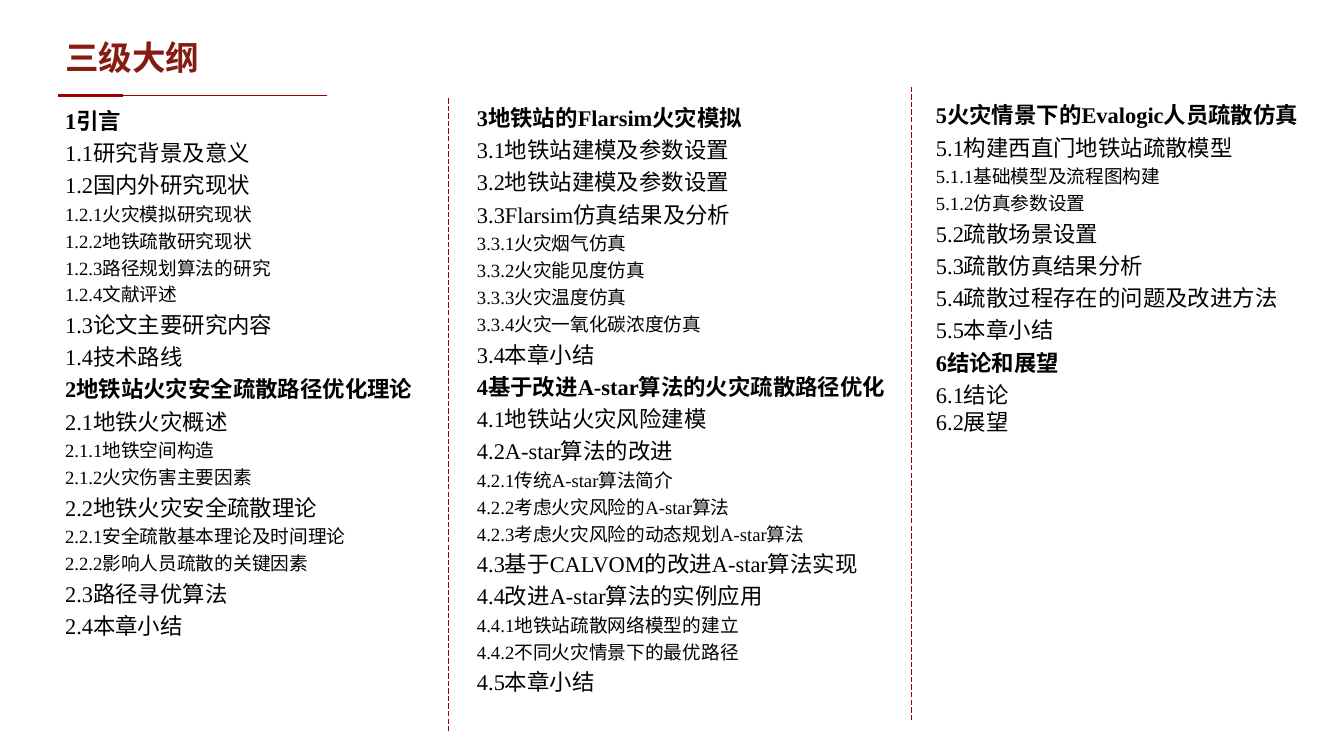
from itertools import groupby
from lxml.etree import SubElement
from pptx import Presentation
from pptx.dml.color import RGBColor
from pptx.enum.dml import MSO_LINE
from pptx.enum.shapes import MSO_CONNECTOR
from pptx.enum.text import MSO_ANCHOR, MSO_AUTO_SIZE, PP_ALIGN
from pptx.oxml.ns import qn
from pptx.util import Pt

TITLE = "三级大纲"
LATIN, HAN = "Times New Roman", "Noto Sans CJK SC"
RED, TITLE_RED, BLACK = "9A0001", "861B11", "000000"

COLUMNS = [
    ((62.64, 105.12, 400.32, 623.52), [
        "1引言",
        "1.1研究背景及意义",
        "1.2国内外研究现状",
        "1.2.1火灾模拟研究现状",
        "1.2.2地铁疏散研究现状",
        "1.2.3路径规划算法的研究",
        "1.2.4文献评述",
        "1.3论文主要研究内容",
        "1.4技术路线",
        "2地铁站火灾安全疏散路径优化理论",
        "2.1地铁火灾概述",
        "2.1.1地铁空间构造",
        "2.1.2火灾伤害主要因素",
        "2.2地铁火灾安全疏散理论",
        "2.2.1安全疏散基本理论及时间理论",
        "2.2.2影响人员疏散的关键因素",
        "2.3路径寻优算法",
        "2.4本章小结",
    ]),
    ((504, 102.24, 458.64, 653.04), [
        "3地铁站的Flarsim火灾模拟",
        "3.1地铁站建模及参数设置",
        "3.2地铁站建模及参数设置",
        "3.3Flarsim仿真结果及分析",
        "3.3.1火灾烟气仿真",
        "3.3.2火灾能见度仿真",
        "3.3.3火灾温度仿真",
        "3.3.4火灾一氧化碳浓度仿真",
        "3.4本章小结",
        "4基于改进A-star算法的火灾疏散路径优化",
        "4.1地铁站火灾风险建模",
        "4.2A-star算法的改进",
        "4.2.1传统A-star算法简介",
        "4.2.2考虑火灾风险的A-star算法",
        "4.2.3考虑火灾风险的动态规划A-star算法",
        "4.3基于CALVOM的改进A-star算法实现",
        "4.4改进A-star算法的实例应用",
        "4.4.1地铁站疏散网络模型的建立",
        "4.4.2不同火灾情景下的最优路径",
        "4.5本章小结",
    ]),
    ((995.76, 99.36, 414, 373.68), [
        "5火灾情景下的Evalogic人员疏散仿真",
        "5.1构建西直门地铁站疏散模型",
        "5.1.1基础模型及流程图构建",
        "5.1.2仿真参数设置",
        "5.2疏散场景设置",
        "5.3疏散仿真结果分析",
        "5.4疏散过程存在的问题及改进方法",
        "5.5本章小结",
        "6结论和展望",
        "6.1结论",
        "6.2展望",
    ]),
]
TITLE_RULES = [(62.64, 349.92, 0.75), (62.64, 131.76, 3)]
RULE_TOP = 102.24
DIVIDERS = [(480.24, 105.12), (976.32, 92.88)]
DIVIDER_HEIGHT = 678.24


def color(value):
    return RGBColor.from_string(value)


def add_line(slide, x1, y1, x2, y2, width, dash=None):
    line = slide.shapes.add_connector(
        MSO_CONNECTOR.STRAIGHT, Pt(x1), Pt(y1), Pt(x2), Pt(y2))
    line.line.color.rgb = color(RED)
    line.line.width = Pt(width)
    if dash:
        line.line.dash_style = dash
    SubElement(line._element.spPr, qn("a:effectLst"))


def add_box(slide, left, top, width, height):
    box = slide.shapes.add_textbox(Pt(left), Pt(top), Pt(width), Pt(height))
    box.text_frame.word_wrap = True
    return box.text_frame


def add_text(para, text, size, fill, bold=False, latin=LATIN, han=HAN,
             align=None, spacing=None):
    para.alignment = align
    para.line_spacing = spacing
    for ascii_part, letters in groupby(text, str.isascii):
        span = para.add_run()
        span.text = "".join(letters)
        span.font.size = Pt(size)
        span.font.bold = bold
        span.font.color.rgb = color(fill)
        span.font.name = latin if ascii_part else han
        SubElement(span.font._element, qn("a:ea"), typeface=HAN)


def add_outline(slide, place, entries):
    frame = add_box(slide, *place)
    frame.auto_size = MSO_AUTO_SIZE.SHAPE_TO_FIT_TEXT
    for index, entry in enumerate(entries):
        para = frame.add_paragraph() if index else frame.paragraphs[0]
        level = entry.count(".")
        add_text(para, entry, size=20 if level == 2 else 24, fill=BLACK,
                 bold=level == 0, align=PP_ALIGN.JUSTIFY,
                 spacing=None if entry == "6.2展望" else 1.2)


def main():
    deck = Presentation()
    deck.slide_width, deck.slide_height = Pt(1440), Pt(810)
    page = deck.slides.add_slide(deck.slide_layouts[6])

    for start, end, width in TITLE_RULES:
        add_line(page, start, RULE_TOP, end, RULE_TOP, width)

    frame = add_box(page, 62.64, 27.36, 1069.92, 72.72)
    frame.vertical_anchor = MSO_ANCHOR.MIDDLE
    add_text(frame.paragraphs[0], TITLE, size=36, fill=TITLE_RED, bold=True,
             han="Arial", spacing=0.9)

    for place, entries in COLUMNS:
        add_outline(page, place, entries)

    for x, top in DIVIDERS:
        add_line(page, x, top, x, top + DIVIDER_HEIGHT, 0.75, MSO_LINE.LONG_DASH)

    deck.save("out.pptx")


if __name__ == "__main__":
    main()
